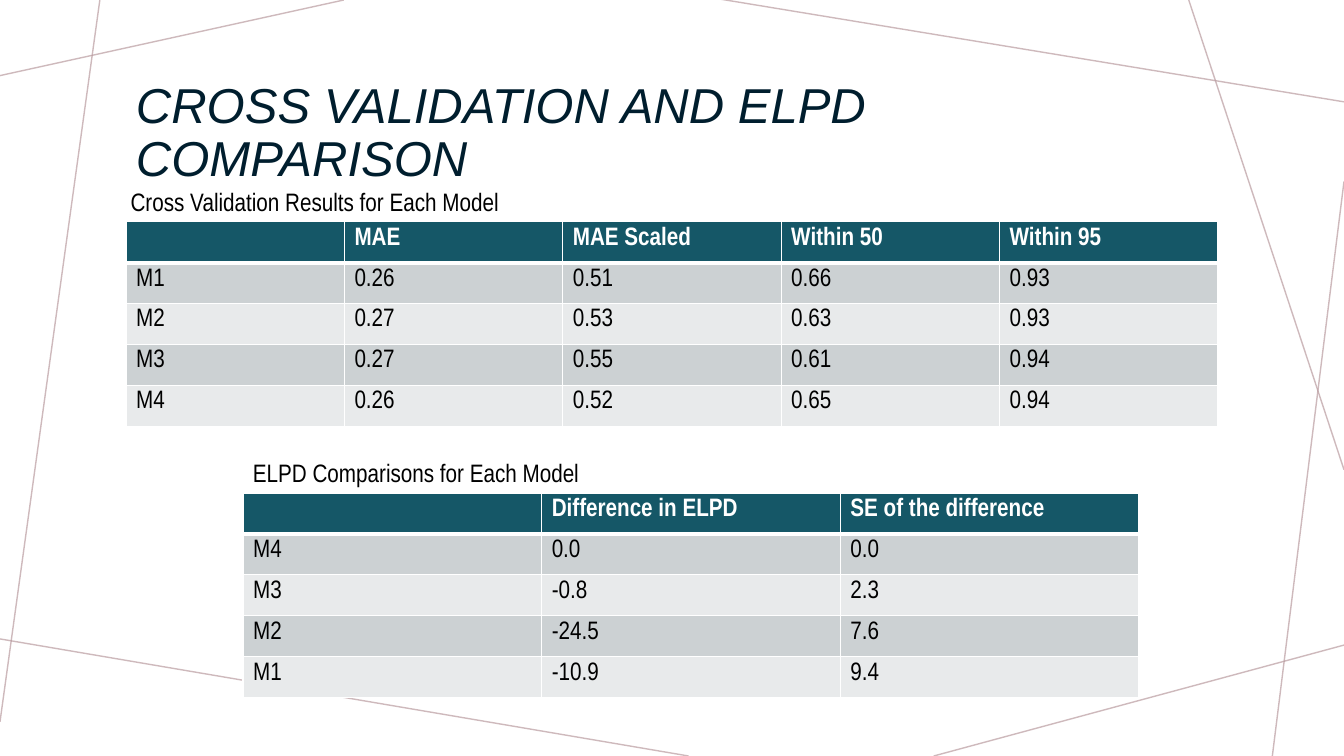
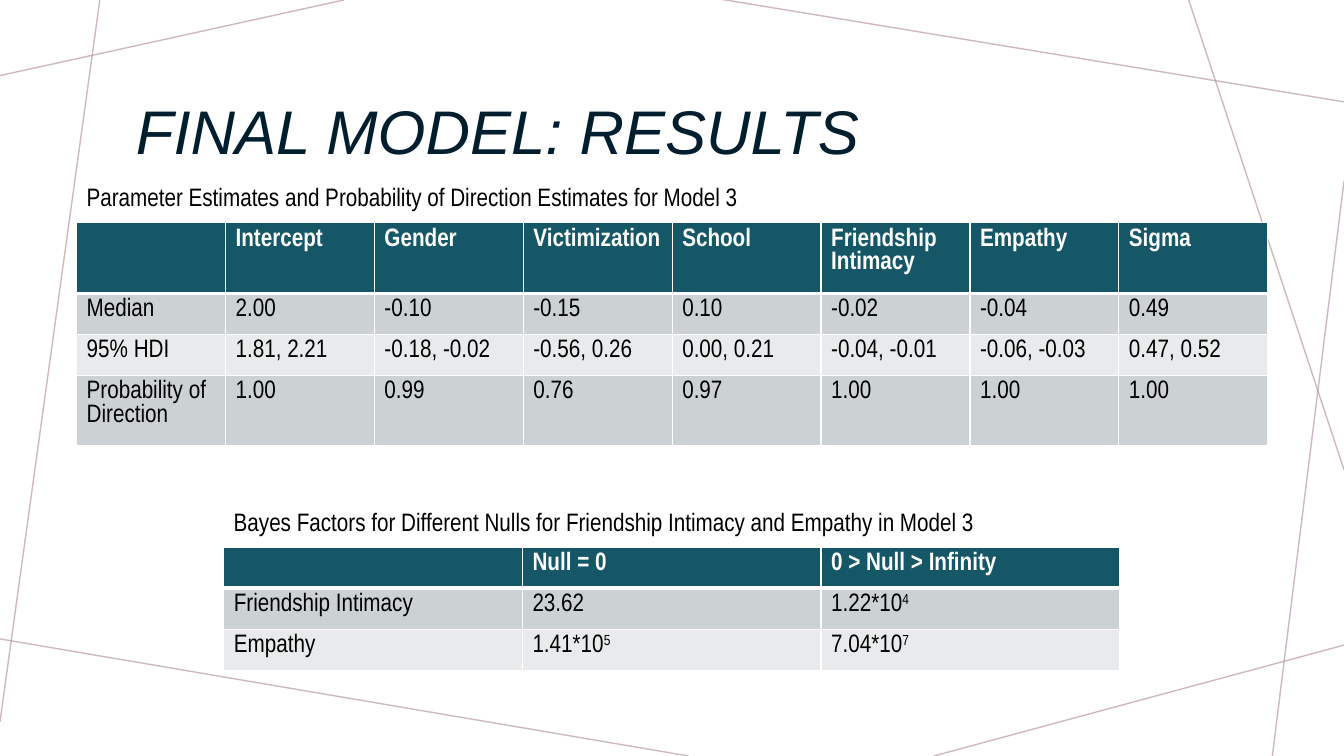
"""Build two slides of model comparison and final result tables."""
import dataclasses
import typing

import lxml.etree
import pptx
import pptx.dml.color
import pptx.enum.shapes
import pptx.enum.text
import pptx.oxml.ns
import pptx.slide
import pptx.table
import pptx.text.text
import pptx.util

COLORS = {
    "background": "FFFFFF",
    "thread": "BA9CA0",
    "title": "001E2E",
    "text": "000000",
    "header": "155767",
    "header_text": "FFFFFF",
    "band_dark": "CCD1D3",
    "band_light": "E8EAEB",
    "border": "FFFFFF",
}
FORMATS = {
    "title": {"name": "Arial", "italic": True},
    "text": {"name": "Arial Narrow", "size": pptx.util.Pt(18), "bold": False},
    "header_text": {"name": "Arial Narrow", "size": pptx.util.Pt(18), "bold": True},
}
SLIDE_WIDTH = pptx.util.Inches(13.33)
SLIDE_HEIGHT = pptx.util.Inches(7.5)
ROW_HEIGHT = 5.42
CAPTION_HEIGHT = 5.33
THREAD_OPACITY = 70


class Frame(typing.NamedTuple):
    """A box in percent of the slide's width and height."""
    left: float
    top: float
    width: float
    height: float


class Thread(typing.NamedTuple):
    """A background line in percent of the slide's size."""
    start_x: float
    start_y: float
    end_x: float
    end_y: float


@dataclasses.dataclass(frozen=True)
class ResultTable:
    """A captioned table; a caret in a value raises what follows."""
    caption: str
    caption_top: float
    left: float
    top: float
    width: float
    rows: tuple[tuple[str, ...], ...]
    caption_overhang: float = 0


@dataclasses.dataclass(frozen=True)
class ResultSlide:
    """A title and the tables below it."""
    title: str
    title_size: int
    tables: tuple[ResultTable, ...]


TITLE_FRAME = Frame(9.38, 7.73, 81.25, 20.13)
THREADS = (
    Thread(25.58, 0, 0, 10),
    Thread(7.43, 0, 0, 95.47),
    Thread(51.24, 100, -0.38, 84.4),
    Thread(100, 85.33, 69.47, 100),
    Thread(100, 24, 94.67, 100),
    Thread(100, 62.13, 88.45, 0),
    Thread(100, 13.47, 53.56, -0.13),
)
SLIDES = (
    ResultSlide("CROSS VALIDATION AND ELPD COMPARISON", 35, (
        ResultTable("Cross Validation Results for Each Model", 24, 9.38, 29.33, 81.25, (
            ("", "MAE", "MAE Scaled", "Within 50", "Within 95"),
            ("M1", "0.26", "0.51", "0.66", "0.93"),
            ("M2", "0.27", "0.53", "0.63", "0.93"),
            ("M3", "0.27", "0.55", "0.61", "0.94"),
            ("M4", "0.26", "0.52", "0.65", "0.94"),
        ), caption_overhang=0.4),
        ResultTable("ELPD Comparisons for Each Model", 59.87, 18.08, 65.2, 66.67, (
            ("", "Difference in ELPD", "SE of the difference"),
            ("M4", "0.0", "0.0"),
            ("M3", "-0.8", "2.3"),
            ("M2", "-24.5", "7.6"),
            ("M1", "-10.9", "9.4"),
        )),
    )),
    ResultSlide("FINAL MODEL: RESULTS", 44, (
        ResultTable(
            "Parameter Estimates and Probability of Direction Estimates for Model 3",
            23.33, 5.7, 29.47, 88.65, (
                ("", "Intercept", "Gender", "Victimization", "School",
                 "Friendship Intimacy", "Empathy", "Sigma"),
                ("Median", "2.00", "-0.10", "-0.15", "0.10", "-0.02", "-0.04", "0.49"),
                ("95% HDI", "1.81, 2.21", "-0.18, -0.02", "-0.56, 0.26", "0.00, 0.21",
                 "-0.04, -0.01", "-0.06, -0.03", "0.47, 0.52"),
                ("Probability of Direction", "1.00", "0.99", "0.76", "0.97",
                 "1.00", "1.00", "1.00"),
            )),
        ResultTable(
            "Bayes Factors for Different Nulls for Friendship Intimacy and Empathy in Model 3",
            66.27, 16.65, 72.4, 66.67, (
                ("", "Null = 0", "0 > Null > Infinity"),
                ("Friendship Intimacy", "23.62", "1.22*10^4"),
                ("Empathy", "1.41*10^5", "7.04*10^7"),
            )),
    )),
)


def across(share: float) -> pptx.util.Emu:
    """Turn a percentage of the slide's width into a length."""
    return pptx.util.Emu(round(SLIDE_WIDTH * share / 100))


def down(share: float) -> pptx.util.Emu:
    """Turn a percentage of the slide's height into a length."""
    return pptx.util.Emu(round(SLIDE_HEIGHT * share / 100))


def place(frame: Frame) -> tuple[pptx.util.Emu, ...]:
    """Return left, top, width and height as lengths."""
    return across(frame.left), down(frame.top), across(frame.width), down(frame.height)


def rgb(role: str) -> pptx.dml.color.RGBColor:
    """Look up the colour of a role."""
    return pptx.dml.color.RGBColor.from_string(COLORS[role])


def add_child(parent: lxml.etree._Element, tag: str, **attributes: str) -> lxml.etree._Element:
    """Append a DrawingML element."""
    return lxml.etree.SubElement(parent, pptx.oxml.ns.qn(tag), attributes)


def write(paragraph: pptx.text.text._Paragraph, text: str, role: str) -> None:
    """Write formatted text, raising what follows a caret."""
    for position, part in enumerate(text.split("^")):
        if not part:
            continue
        run = paragraph.add_run()
        run.text = part
        for attribute, value in FORMATS[role].items():
            setattr(run.font, attribute, value)
        run.font.color.rgb = rgb(role)
        if position:
            run._r.get_or_add_rPr().set("baseline", "30000")


def draw_threads(slide: pptx.slide.Slide) -> None:
    """Draw the crossing background lines."""
    for thread in THREADS:
        line = slide.shapes.add_connector(
            pptx.enum.shapes.MSO_CONNECTOR.STRAIGHT,
            across(thread.start_x), down(thread.start_y),
            across(thread.end_x), down(thread.end_y))
        line.line.width = pptx.util.Pt(1)
        line.line.color.rgb = rgb("thread")
        properties = line._element.spPr
        shade = properties.find(".//" + pptx.oxml.ns.qn("a:srgbClr"))
        add_child(shade, "a:alpha", val=str(THREAD_OPACITY * 1000))
        add_child(properties, "a:effectLst")


def draw_text(slide: pptx.slide.Slide, frame: Frame, text: str, role: str) -> pptx.text.text.TextFrame:
    """Draw a wrapping text box and return its text frame."""
    body = slide.shapes.add_textbox(*place(frame)).text_frame
    body.word_wrap = True
    write(body.paragraphs[0], text, role)
    return body


def draw_title(slide: pptx.slide.Slide, title: str, size: int) -> None:
    """Draw the slide title."""
    body = draw_text(slide, TITLE_FRAME, title, "title")
    body.vertical_anchor = pptx.enum.text.MSO_ANCHOR.MIDDLE
    heading = body.paragraphs[0]
    heading.line_spacing = 0.9
    heading.runs[0].font.size = pptx.util.Pt(size)


def style_cell(cell: pptx.table._Cell, row: int) -> None:
    """Give a cell its borders and its band colour."""
    widths = {"L": 1, "R": 1, "T": 3 if row == 1 else 1, "B": 3 if row == 0 else 1}
    properties = cell._tc.get_or_add_tcPr()
    for side, points in widths.items():
        border = add_child(properties, f"a:ln{side}", w=str(pptx.util.Pt(points)))
        add_child(add_child(border, "a:solidFill"), "a:srgbClr", val=COLORS["border"])
    cell.fill.solid()
    band = "band_dark" if row % 2 else "band_light"
    cell.fill.fore_color.rgb = rgb(band if row else "header")


def draw_table(slide: pptx.slide.Slide, result: ResultTable) -> None:
    """Draw a table with its caption."""
    row_count, column_count = len(result.rows), len(result.rows[0])
    frame = Frame(result.left, result.top, result.width, ROW_HEIGHT * row_count)
    grid = slide.shapes.add_table(row_count, column_count, *place(frame)).table
    grid.horz_banding = False
    for row, values in enumerate(result.rows):
        for column, value in enumerate(values):
            cell = grid.cell(row, column)
            style_cell(cell, row)
            write(cell.text_frame.paragraphs[0], value, "text" if row else "header_text")
    overhang = result.caption_overhang
    caption_frame = Frame(result.left - overhang, result.caption_top,
                          result.width + 2 * overhang, CAPTION_HEIGHT)
    caption = draw_text(slide, caption_frame, result.caption, "text")
    caption.auto_size = pptx.enum.text.MSO_AUTO_SIZE.SHAPE_TO_FIT_TEXT


def main() -> None:
    """Build and save the presentation."""
    deck = pptx.Presentation()
    deck.slide_width, deck.slide_height = SLIDE_WIDTH, SLIDE_HEIGHT
    for content in SLIDES:
        slide = deck.slides.add_slide(deck.slide_layouts[6])
        slide.background.fill.solid()
        slide.background.fill.fore_color.rgb = rgb("background")
        draw_threads(slide)
        draw_title(slide, content.title, content.title_size)
        for result in content.tables:
            draw_table(slide, result)
    deck.save("out.pptx")


if __name__ == "__main__":
    main()
